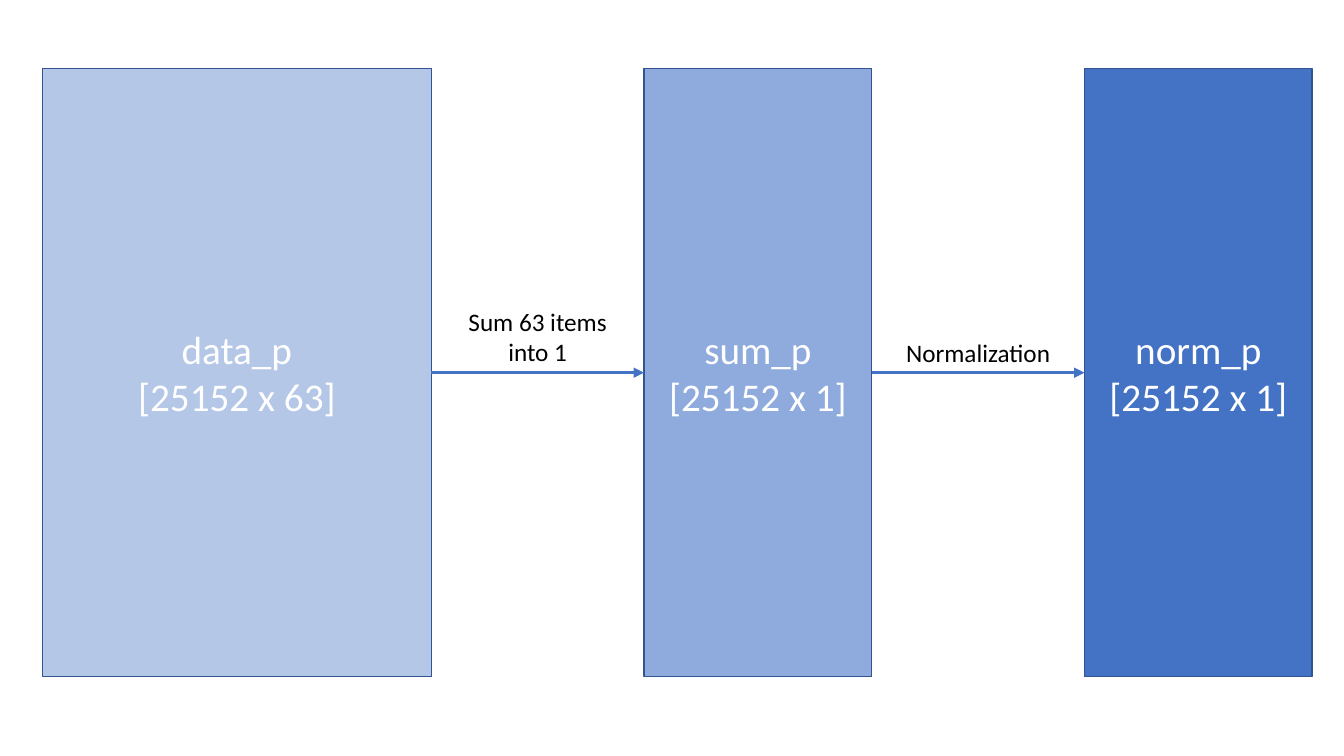
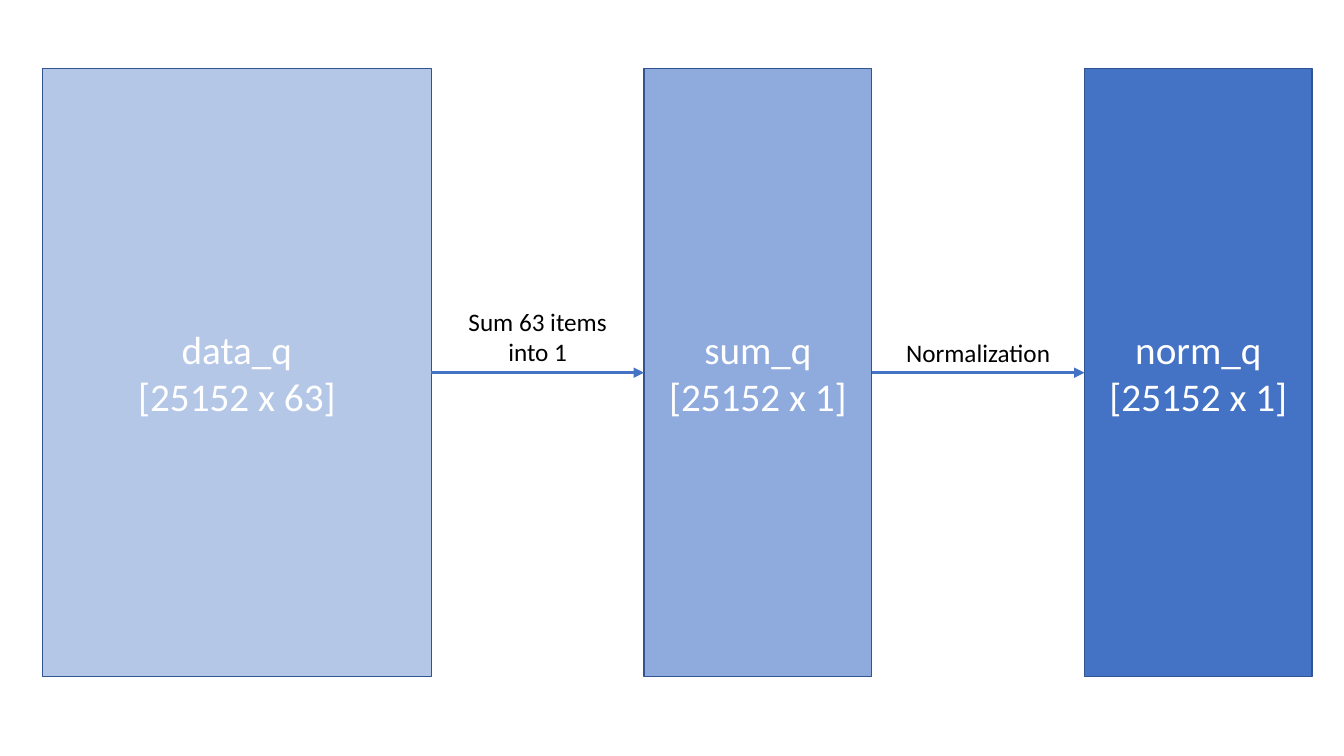
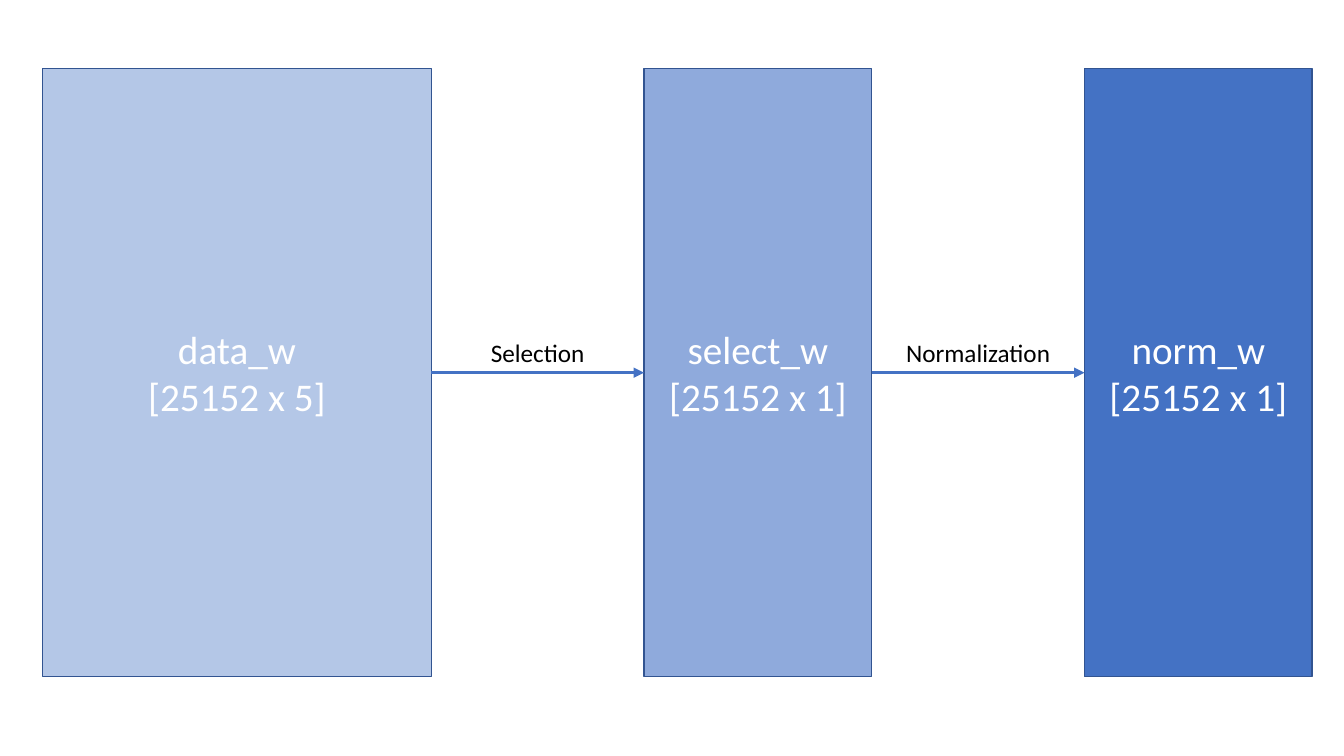
from dataclasses import dataclass

from lxml.etree import SubElement
from pptx import Presentation
from pptx.dml.color import RGBColor
from pptx.enum.shapes import MSO_CONNECTOR, MSO_SHAPE
from pptx.enum.text import MSO_ANCHOR, MSO_AUTO_SIZE, PP_ALIGN
from pptx.oxml.ns import qn
from pptx.util import Cm, Pt


@dataclass(frozen=True)
class Theme:
    """Colours, font and sizes shared by all slides."""
    font: str = "Calibri"
    stage_size: Pt = Pt(28)
    step_size: Pt = Pt(18)
    stage_text: RGBColor = RGBColor(0xFF, 0xFF, 0xFF)
    step_text: RGBColor = RGBColor(0, 0, 0)
    outline: RGBColor = RGBColor(0x32, 0x54, 0x91)
    outline_width: Pt = Pt(1)
    arrow: RGBColor = RGBColor(0x44, 0x72, 0xC4)
    arrow_width: Pt = Pt(2.5)
    stage_fills: tuple = (
        RGBColor(0xB4, 0xC7, 0xE7),
        RGBColor(0x8F, 0xAA, 0xDC),
        RGBColor(0x44, 0x72, 0xC4),
    )


THEME = Theme()

STAGE_LEFT, STAGE_TOP, STAGE_HEIGHT = Cm(1.07), Cm(1.73), Cm(15.32)
STAGE_WIDTHS = (Cm(9.8), Cm(5.74), Cm(5.74))
STAGE_GAP = Cm(5.36)
STEP_WIDTH = Cm(4.7)
STEP_HEIGHTS = {1: Cm(1.02), 2: Cm(1.79)}  # by number of text lines
RIGHT_SITE, LEFT_SITE = 3, 1

# Each pipeline: stages as (name, matrix size), steps as (label, text lines)
NORMALIZATION = ("Normalization", 1)
PIPELINES = (
    ((("data_p", "[25152 x 63]"), ("sum_p", "[25152 x 1]"), ("norm_p", "[25152 x 1]")),
     (("Sum 63 items into 1", 2), NORMALIZATION)),
    ((("data_q", "[25152 x 63]"), ("sum_q", "[25152 x 1]"), ("norm_q", "[25152 x 1]")),
     (("Sum 63 items into 1", 2), NORMALIZATION)),
    ((("data_w", "[25152 x 5]"), ("select_w", "[25152 x 1]"), ("norm_w", "[25152 x 1]")),
     (("Selection", 1), NORMALIZATION)),
)


def write_centred(frame, text, size, color):
    """Fill a text frame with centred, wrapped text."""
    frame.text = text
    frame.word_wrap = True
    for paragraph in frame.paragraphs:
        paragraph.alignment = PP_ALIGN.CENTER
        for run in paragraph.runs:
            run.font.name = THEME.font
            run.font.size = size
            run.font.color.rgb = color


def add_stage(slide, left, width, fill, lines):
    """Draw one matrix as a block and return it."""
    stage = slide.shapes.add_shape(
        MSO_SHAPE.RECTANGLE, left, STAGE_TOP, width, STAGE_HEIGHT)
    stage.shadow.inherit = False
    stage.fill.solid()
    stage.fill.fore_color.rgb = fill
    stage.line.color.rgb = THEME.outline
    stage.line.width = THEME.outline_width
    stage.text_frame.vertical_anchor = MSO_ANCHOR.MIDDLE
    write_centred(stage.text_frame, "\n".join(lines),
                  THEME.stage_size, THEME.stage_text)
    return stage


def add_arrow(slide, source, target):
    """Connect two neighbouring stages with an arrow."""
    arrow = slide.shapes.add_connector(MSO_CONNECTOR.STRAIGHT, 0, 0, 0, 0)
    arrow.begin_connect(source, RIGHT_SITE)
    arrow.end_connect(target, LEFT_SITE)
    arrow.line.color.rgb = THEME.arrow
    arrow.line.width = THEME.arrow_width
    SubElement(arrow.line._get_or_add_ln(), qn("a:tailEnd"), type="triangle")
    SubElement(arrow._element.spPr, qn("a:effectLst"))


def add_step_label(slide, source, label, line_count):
    """Set a step's label on the arrow that leaves the source stage."""
    height = STEP_HEIGHTS[line_count]
    left = source.left + source.width + (STAGE_GAP - STEP_WIDTH) // 2
    top = STAGE_TOP + STAGE_HEIGHT // 2 - height
    step = slide.shapes.add_textbox(left, top, STEP_WIDTH, height)
    write_centred(step.text_frame, label, THEME.step_size, THEME.step_text)
    step.text_frame.auto_size = MSO_AUTO_SIZE.SHAPE_TO_FIT_TEXT


def add_pipeline(slide, stages, steps):
    """Lay the stages out from left to right and join them by steps."""
    left = STAGE_LEFT
    blocks = []
    for lines, width, fill in zip(stages, STAGE_WIDTHS, THEME.stage_fills):
        blocks.append(add_stage(slide, left, width, fill, lines))
        left += width + STAGE_GAP
    for source, target, (label, line_count) in zip(blocks, blocks[1:], steps):
        add_arrow(slide, source, target)
        add_step_label(slide, source, label, line_count)


def main():
    """Build one slide per pipeline and save the deck."""
    deck = Presentation()
    deck.slide_width, deck.slide_height = Cm(33.87), Cm(19.05)
    blank = deck.slide_layouts[6]
    for stages, steps in PIPELINES:
        add_pipeline(deck.slides.add_slide(blank), stages, steps)
    deck.save("out.pptx")


main()
